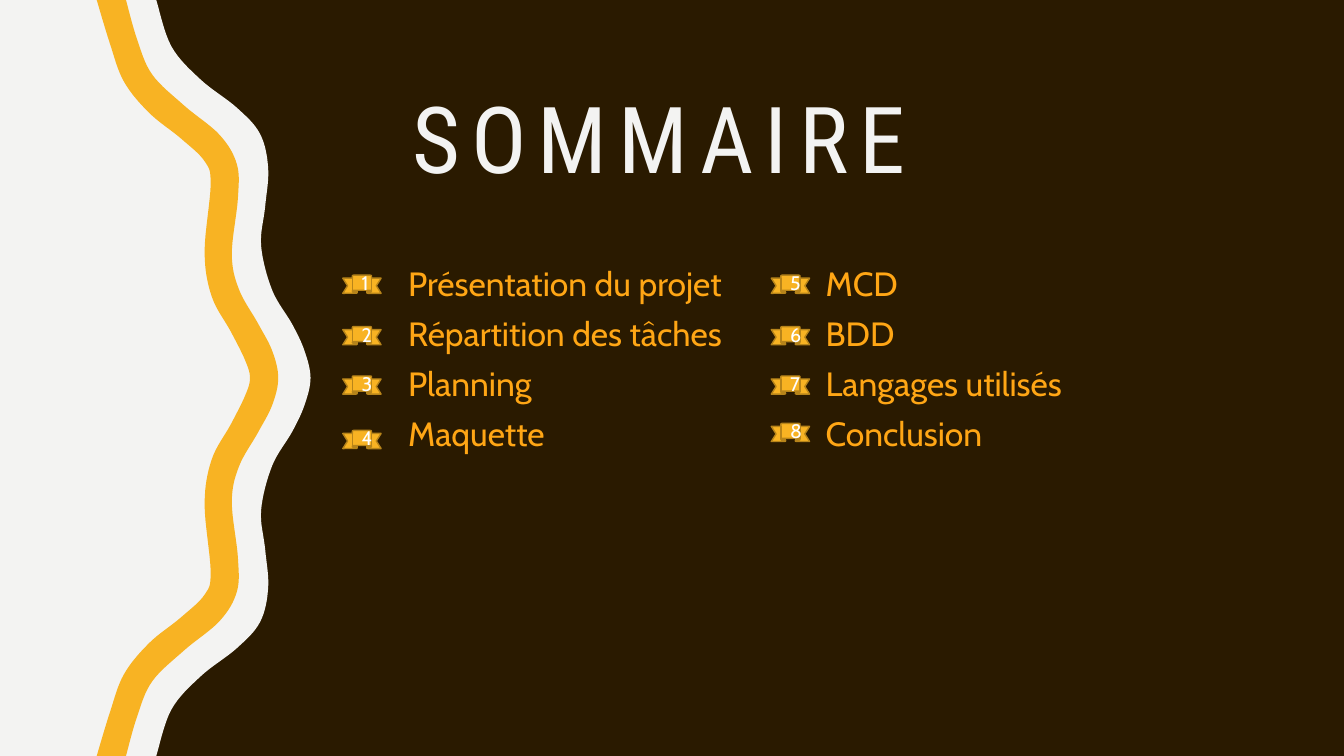
"""Build the SOMMAIRE slide: wavy left edge, title and eight numbered topics."""
from lxml.etree import SubElement
from pptx import Presentation
from pptx.dml.color import RGBColor
from pptx.enum.shapes import MSO_SHAPE as Preset
from pptx.enum.text import MSO_ANCHOR as Anchor, PP_ALIGN as Align
from pptx.oxml.ns import qn
from pptx.util import Inches, Pt

PAPER, GOLD, DARK_GOLD, ORANGE = "F3F3F2", "F8B323", "B7841A", "FFA615"
BROWN, WHITE = "2A1A00", "FFFFFF"
TITLE_FONT, BODY_FONT = "Roboto Condensed", "Cabin"
WIDTH, HEIGHT = 13.33, 7.5
CURVE_STEPS = 8


def color(value):
    return RGBColor.from_string(value)


def add_run(para, text, size, font, tint):
    span = para.add_run()
    span.text = text
    span.font.size = Pt(size)
    span.font.name = font
    span.font.color.rgb = color(tint)
    return span


deck = Presentation()
deck.slide_width, deck.slide_height = Inches(WIDTH), Inches(HEIGHT)
page = deck.slides.add_slide(deck.slide_layouts[6])
page.background.fill.solid()
page.background.fill.fore_color.rgb = color(BROWN)

upper_knots = {
    "panel right": [(1.55, 0), (1.7, 0.46), (1.99, 0.79), (2.35, 1.07), (2.58, 1.33),
                    (2.66, 1.67), (2.63, 2.05), (2.59, 2.44), (2.7, 2.88), (2.9, 3.22),
                    (3.02, 3.48), (3.08, 3.75)],
    "band right": [(1.25, 0), (1.36, 0.39), (1.51, 0.74), (1.83, 1.05), (2.18, 1.34),
                   (2.35, 1.63), (2.36, 1.97), (2.3, 2.52), (2.37, 2.87), (2.56, 3.21),
                   (2.7, 3.48), (2.76, 3.75)],
    "band left": [(0.96, 0), (1.09, 0.43), (1.23, 0.81), (1.48, 1.12), (1.79, 1.37),
                  (2.03, 1.6), (2.09, 1.83), (2.03, 2.5), (2.1, 2.94), (2.29, 3.29),
                  (2.43, 3.57), (2.48, 3.75)],
}
edges = {"panel left": [(0, 0), (0, HEIGHT)]}
for name, upper in upper_knots.items():
    lower = [(x, HEIGHT - y) for x, y in reversed(upper[:-1])]
    knots = upper + lower
    padded = [knots[0]] + knots + [knots[-1]]
    curve = []
    for before, start, end, after in zip(padded, padded[1:], padded[2:], padded[3:]):
        for step in range(CURVE_STEPS):
            t = step / CURVE_STEPS
            curve.append(tuple(
                b + t * (c - a) / 2
                + t ** 2 * (2 * a - 5 * b + 4 * c - d) / 2
                + t ** 3 * (3 * b - a - 3 * c + d) / 2
                for a, b, c, d in zip(before, start, end, after)))
    edges[name] = curve + [knots[-1]]

for name, tint in [("panel", PAPER), ("band", GOLD)]:
    border = edges[name + " right"] + edges[name + " left"][::-1]
    outline = [(Inches(x), Inches(y)) for x, y in border]
    builder = page.shapes.build_freeform(*outline[0])
    builder.add_line_segments(outline[1:], close=True)
    wave = builder.convert_to_shape()
    wave.shadow.inherit = False
    wave.fill.solid()
    wave.fill.fore_color.rgb = color(tint)
    wave.line.fill.background()

title = page.shapes.add_textbox(Inches(3.99), Inches(0.93), Inches(5.63), Inches(1.04))
title.text_frame.word_wrap = True
title.text_frame.vertical_anchor = Anchor.BOTTOM
para = title.text_frame.paragraphs[0]
para.line_spacing = 0.9
span = add_run(para, "SOMMAIRE", 66, TITLE_FONT, PAPER)
span.font._element.set("spc", "800")

topic_rows = [("Présentation du projet", "MCD"), ("Répartition des tâches", "BDD"),
              ("Planning", "Langages utilisés"), ("Maquette", "Conclusion")]
topic_stops = (1.08, 5.22)
body = page.shapes.add_textbox(Inches(2.87), Inches(2.56), Inches(8.58), Inches(3.11))
body.text_frame.word_wrap = True
for row, topics in enumerate(topic_rows):
    para = body.text_frame.paragraphs[0] if row == 0 else body.text_frame.add_paragraph()
    para.space_before = Pt(7)
    tabs = SubElement(para._p.get_or_add_pPr(), qn("a:tabLst"))
    for stop, topic in zip(topic_stops, topics):
        SubElement(tabs, qn("a:tab"), pos=str(Inches(stop)), algn="l")
        add_run(para, "\t" + topic, 24, BODY_FONT, ORANGE)

shared_tops = [2.73, 3.24, 3.73]
for left, first_number, last_top in [(3.4, 1, 4.27), (7.65, 5, 4.2)]:
    for number, top in enumerate(shared_tops + [last_top], first_number):
        ribbon = page.shapes.add_shape(Preset.UP_RIBBON, Inches(left), Inches(top),
                                       Inches(0.38), Inches(0.18))
        ribbon.shadow.inherit = False
        ribbon.fill.solid()
        ribbon.fill.fore_color.rgb = color(GOLD)
        ribbon.line.color.rgb = color(DARK_GOLD)
        ribbon.line.width = Pt(1)
        ribbon.text_frame.vertical_anchor = Anchor.MIDDLE
        para = ribbon.text_frame.paragraphs[0]
        para.alignment = Align.CENTER
        add_run(para, str(number), 14, BODY_FONT, WHITE)

deck.save("out.pptx")
